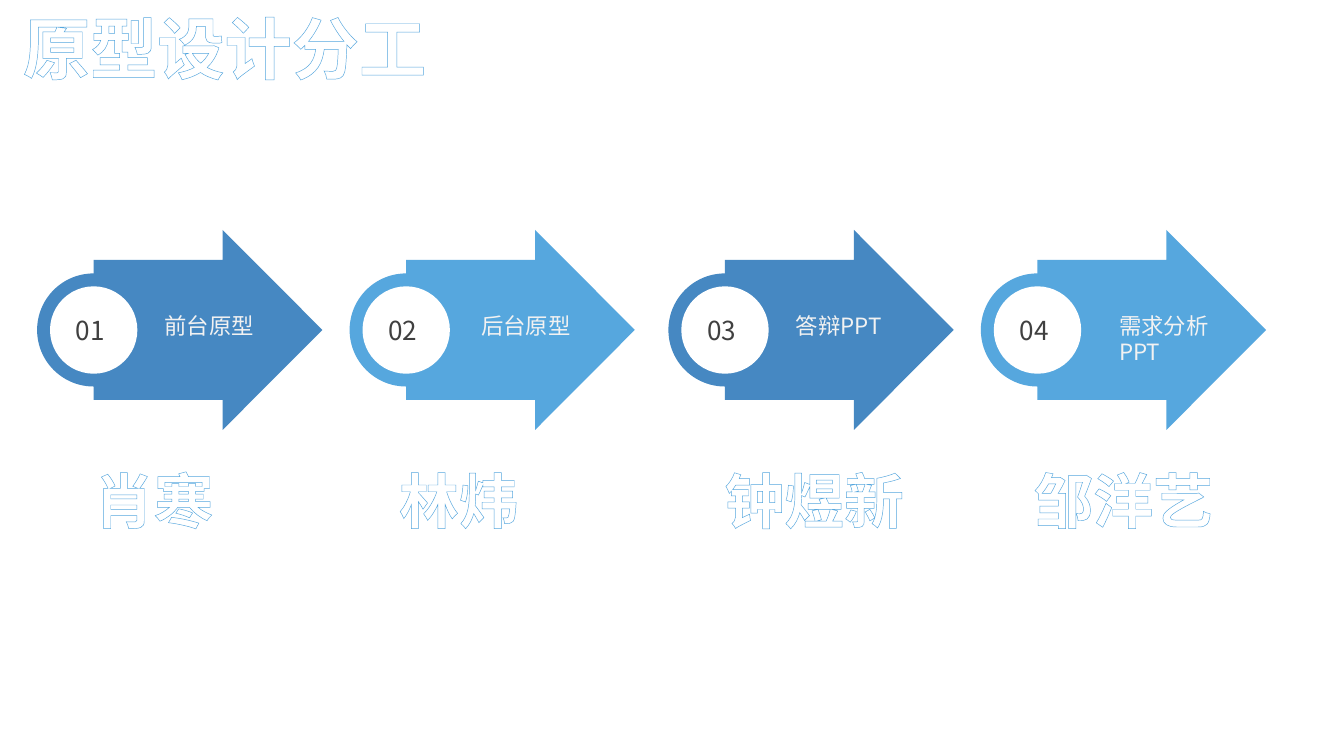
import pptx
import pptx.dml.color
import pptx.enum.shapes
import pptx.enum.text
import pptx.oxml
import pptx.oxml.ns
import pptx.util
from pptx.util import Pt

COLORS = {
    "dark": "4688C2",
    "light": "56A7DE",
    "white": "FFFFFF",
    "number": "404040",
    "task": "F2F2F2",
}
FONT = "Noto Sans CJK SC"


def paint(shape, color):
    shape.shadow.inherit = False
    shape.fill.solid()
    shape.fill.fore_color.rgb = pptx.dml.color.RGBColor.from_string(COLORS[color])
    shape.line.fill.background()


def write(frame, text, color, outlined=False, **font_values):
    """Put one run into the frame, with an optional thin outline on its letters."""
    paragraph = frame.paragraphs[0]
    run = paragraph.add_run()
    run.text = text
    for key, value in {"name": FONT, **font_values}.items():
        setattr(run.font, key, value)
    run.font.color.rgb = pptx.dml.color.RGBColor.from_string(COLORS[color])
    properties = run.font._element
    namespace = pptx.oxml.ns.nsdecls("a")
    properties.find(pptx.oxml.ns.qn("a:latin")).addnext(
        pptx.oxml.parse_xml(f'<a:ea {namespace} typeface="{FONT}"/>'))
    if outlined:
        properties.insert(0, pptx.oxml.parse_xml(
            f'<a:ln {namespace} w="6600"><a:solidFill>'
            f'<a:srgbClr val="{COLORS["light"]}"/></a:solidFill></a:ln>'))
    return paragraph


deck = pptx.Presentation()
deck.slide_width, deck.slide_height = Pt(720), Pt(405)
slide = deck.slides.add_slide(deck.slide_layouts[6])

# Arrow left, task left, name left, task, person
steps = [
    (50.2, 88.2, 50.4, "前台原型", "肖寒"),
    (217.6, 257.8, 213.8, "后台原型", "林炜"),
    (388.4, 426.3, 388.2, "答辩PPT", "钟煜新"),
    (555.8, 599.6, 553.8, "需求分析PPT", "邹洋艺"),
]
MIDDLE = 176.8
HEAD_HALF, BODY_HALF = 53.6, 37.5
SHOULDER, TIP = 69.1, 122.5
RING, DISC = 60.6, 46.8

for index, (left, task_left, name_left, task, person) in enumerate(steps):
    step = slide.shapes.add_group_shape().shapes
    color = "light" if index % 2 else "dark"

    outline = [
        (0, -BODY_HALF), (SHOULDER, -BODY_HALF), (SHOULDER, -HEAD_HALF), (TIP, 0),
        (SHOULDER, HEAD_HALF), (SHOULDER, BODY_HALF), (0, BODY_HALF),
    ]
    points = [(Pt(left + x), Pt(MIDDLE + y)) for x, y in outline]
    builder = step.build_freeform(*points[0])
    builder.add_line_segments(points[1:], close=True)
    paint(builder.convert_to_shape(), color)

    for size, fill in ((RING, color), (DISC, "white")):
        circle = step.add_shape(
            pptx.enum.shapes.MSO_SHAPE.OVAL,
            Pt(left - size / 2), Pt(MIDDLE - size / 2), Pt(size), Pt(size))
        paint(circle, fill)
    circle.text_frame.vertical_anchor = pptx.enum.text.MSO_ANCHOR.MIDDLE
    number = write(circle.text_frame, f"{index + 1:02}", "number", size=Pt(14))
    number.alignment = pptx.enum.text.PP_ALIGN.LEFT

    labels = [
        (task, task_left, 167, 50.4, 28.8 if len(task) > 5 else 14.4, 12, "task", False),
        (person, name_left, 248.4, 135.6, 38.9, 32, "white", True),
    ]
    for text, x, y, width, height, size, text_color, is_name in labels:
        frame = step.add_textbox(Pt(x), Pt(y), Pt(width), Pt(height)).text_frame
        frame_format = {
            "word_wrap": True,
            "auto_size": pptx.enum.text.MSO_AUTO_SIZE.SHAPE_TO_FIT_TEXT,
            "margin_left": 0, "margin_right": 0, "margin_top": 0, "margin_bottom": 0,
        }
        for key, value in frame_format.items():
            setattr(frame, key, value)
        label = write(frame, text, text_color, is_name, size=Pt(size), bold=is_name)
        label.line_spacing = Pt(1.2 * size)
        label.space_before = Pt(0.06 * size)

title = slide.shapes.add_textbox(Pt(-0.7), Pt(0), Pt(242), Pt(50.4)).text_frame
title.word_wrap = True
title.vertical_anchor = pptx.enum.text.MSO_ANCHOR.MIDDLE
heading = write(title, "原型设计分工", "white", True, name="Calibri", size=Pt(36), bold=True)
heading.alignment = pptx.enum.text.PP_ALIGN.CENTER

deck.save("out.pptx")
